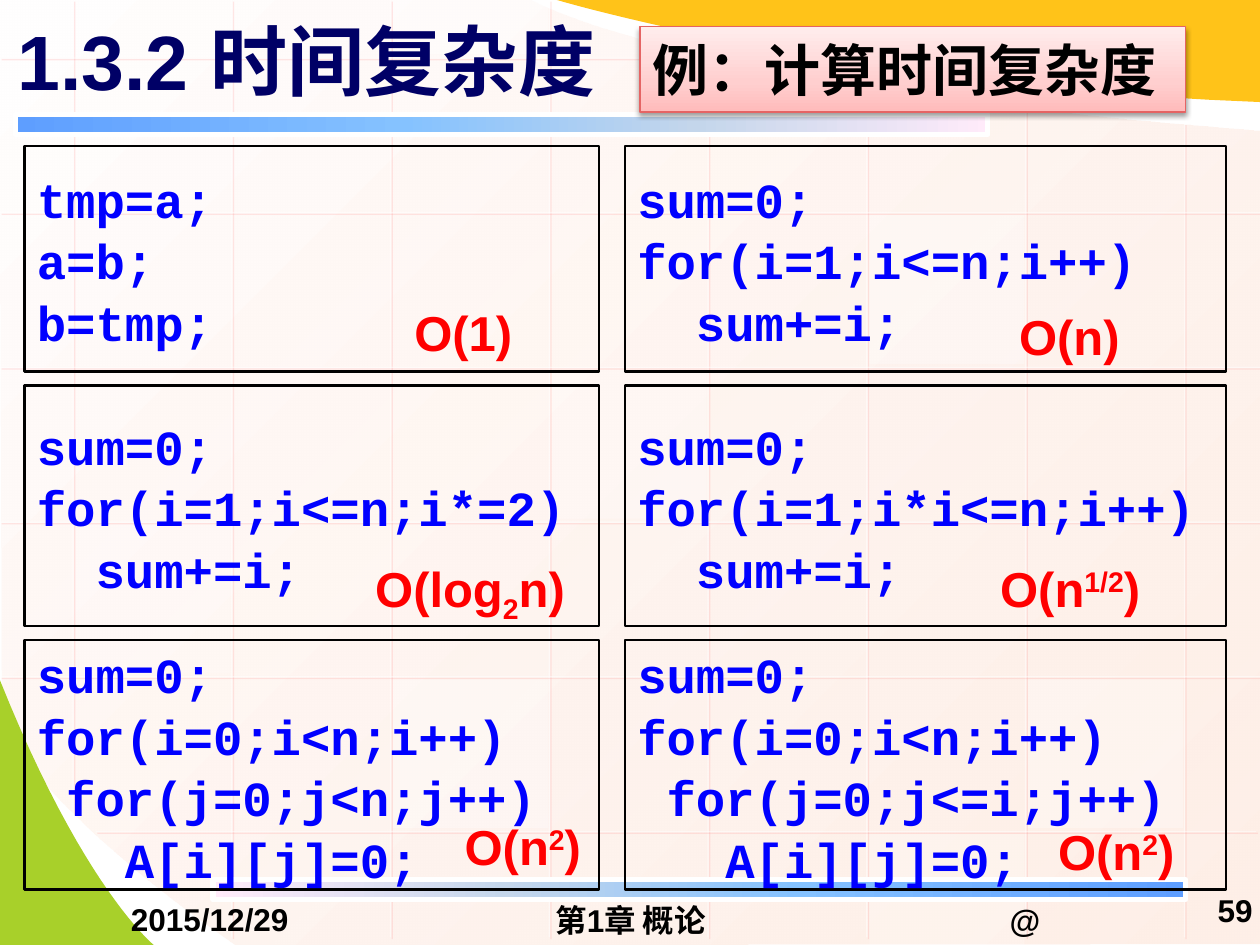
from pptx import Presentation
from pptx.dml.color import RGBColor
from pptx.enum.shapes import MSO_CONNECTOR, MSO_SHAPE
from pptx.enum.text import MSO_ANCHOR, MSO_AUTO_SIZE, PP_ALIGN
from pptx.oxml import parse_xml
from pptx.oxml.ns import nsdecls, qn
from pptx.util import Inches, Pt

RECT, STRAIGHT = MSO_SHAPE.RECTANGLE, MSO_CONNECTOR.STRAIGHT
MIDDLE, TOP = MSO_ANCHOR.MIDDLE, MSO_ANCHOR.TOP
LEFT, CENTER, RIGHT = PP_ALIGN.LEFT, PP_ALIGN.CENTER, PP_ALIGN.RIGHT
GROW = MSO_AUTO_SIZE.SHAPE_TO_FIT_TEXT

COLORS = {
    "white": "FFFFFF", "black": "000000", "navy": "000066", "code": "0000FF",
    "answer": "FF0000", "green": "A8D02A", "amber": "FFC319",
    "glow": "FF7575", "badge": "E56464",
}
PAPER = [(0, "FFFEFE", 100), (100, "FEE9DE", 70)]
BAR = [(0, "5E9EFF", 100), (40, "85C2FF", 100), (70, "C4D6EB", 100), (100, "FFEBFA", 100)]
BADGE = [(0, "FFBBBB", 100), (35, "FFCFCF", 100), (100, "FFEDED", 100)]

TITLE = {"size": Pt(44), "bold": True, "name": "Arial"}
EXAMPLE = {"size": Pt(32), "bold": True, "name": "Arial"}
ANSWER = {"size": Pt(28), "bold": True, "name": "Arial"}
CODE = {"size": Pt(28), "bold": True, "name": "Courier New"}
FOOTER = {"size": Pt(18), "bold": True, "name": "Arial"}
CENTERED = {"vertical_anchor": MIDDLE, "word_wrap": True}
UNWRAPPED = {"vertical_anchor": MIDDLE, "word_wrap": False}
FITTED = {"vertical_anchor": TOP, "word_wrap": False, "auto_size": GROW}
FLAT = {**CENTERED, "margin_top": 0, "margin_bottom": 0}


def apply(target, formats):
    """Set every attribute named in formats on the target."""
    for attribute, value in formats.items():
        setattr(target, attribute, value)


def curve(start, bend_a, bend_b, end, steps=24):
    """Return points along a cubic curve, leaving out its start."""
    shares = [step / steps for step in range(1, steps + 1)]
    return [tuple((1 - t) ** 3 * a + 3 * t * (1 - t) ** 2 * b + 3 * t * t * (1 - t) * c + t ** 3 * d
                  for a, b, c, d in zip(start, bend_a, bend_b, end)) for t in shares]


class Board:
    """Draws styled elements on a slide of 100 columns by 75 rows."""

    def __init__(self, slide, width):
        self.shapes = slide.shapes
        self.cell = width / 100

    def span(self, *cells):
        return [round(self.cell * count) for count in cells]

    def color(self, name):
        return RGBColor.from_string(COLORS[name])

    def paint(self, shape, fill=None, line=None, weight=1, opacity=100):
        shape.shadow.inherit = False
        if fill:
            shape.fill.solid()
            shape.fill.fore_color.rgb = self.color(fill)
            self.fade(shape, opacity)
        else:
            shape.fill.background()
        if line:
            shape.line.color.rgb = self.color(line)
            shape.line.width = Pt(weight)
        else:
            shape.line.fill.background()
        return shape

    def fade(self, shape, opacity):
        tint = shape._element.spPr.find(f".//{qn('a:srgbClr')}")
        tint.append(parse_xml(f'<a:alpha {nsdecls("a")} val="{opacity * 1000}"/>'))

    def blend(self, shape, stops, angle):
        shape.fill.gradient()
        marks = "".join(f'<a:gs pos="{place * 1000}"><a:srgbClr val="{tint}">'
                        f'<a:alpha val="{opacity * 1000}"/></a:srgbClr></a:gs>'
                        for place, tint, opacity in stops)
        properties = shape._element.spPr
        properties.replace(properties.find(qn("a:gradFill")), parse_xml(
            f'<a:gradFill {nsdecls("a")} rotWithShape="1"><a:gsLst>{marks}</a:gsLst>'
            f'<a:lin ang="{angle * 60000}" scaled="0"/></a:gradFill>'))

    def cast(self, shape, tint, opacity, blur, distance, angle):
        properties = shape._element.spPr
        effects = properties.find(qn("a:effectLst"))
        if effects is None:
            effects = parse_xml(f'<a:effectLst {nsdecls("a")}/>')
            properties.append(effects)
        effects.append(parse_xml(
            f'<a:outerShdw {nsdecls("a")} blurRad="{Pt(blur)}" dist="{Pt(distance)}" '
            f'dir="{angle * 60000}" rotWithShape="0"><a:srgbClr val="{COLORS[tint]}">'
            f'<a:alpha val="{opacity * 1000}"/></a:srgbClr></a:outerShdw>'))

    def outline(self, points, fill="white"):
        start, *rest = [self.span(*point) for point in points]
        builder = self.shapes.build_freeform(*start)
        builder.add_line_segments(rest)
        return self.paint(builder.convert_to_shape(), fill)

    def rule(self, *ends):
        rule = self.shapes.add_connector(STRAIGHT, *self.span(*ends))
        rule.line.color.rgb = self.color("white")
        rule.line.width = Pt(0.75)
        self.fade(rule, 50)
        self.cast(rule, "glow", 33, 0, 1.4, 45)

    def block(self, area, **look):
        return self.paint(self.shapes.add_shape(RECT, *self.span(*area)), **look)

    def bar(self, area, rotation=0):
        bar = self.block(area, line="white", weight=3)
        self.blend(bar, BAR, 0)
        bar.rotation = rotation

    def letter(self, shape, pieces, font, color, frame, align=LEFT, spacing=1.0):
        apply(shape.text_frame, frame)
        paragraph = shape.text_frame.paragraphs[0]
        apply(paragraph, {"alignment": align, "line_spacing": spacing})
        for text, baseline in pieces:
            for row, line in enumerate(text.split("\n")):
                if row:
                    paragraph.add_line_break()
                run = paragraph.add_run()
                run.text = line
                apply(run.font, font)
                run.font.color.rgb = self.color(color)
                if baseline:
                    run._r.get_or_add_rPr().set("baseline", str(baseline * 1000))

    def label(self, area, pieces, font, color, frame, align=LEFT):
        self.letter(self.shapes.add_textbox(*self.span(*area)), pieces, font, color, frame, align)

    def panel(self, area, code):
        panel = self.block(area, line="black", weight=1.5)
        self.letter(panel, [(code, 0)], CODE, "code", CENTERED, spacing=1.05)

    def badge(self, area, text):
        badge = self.block(area, line="badge", weight=0.75)
        self.blend(badge, BADGE, 270)
        self.cast(badge, "black", 38, 3.1, 1.6, 90)
        self.letter(badge, [(text, 0)], EXAMPLE, "black", UNWRAPPED)


def draw_backdrop(board):
    """Draw the paper, the grid and the coloured corners."""
    paper = board.outline(
        [(100, 10.4), (100, 74.9), (18.7, 75)]
        + curve((18.7, 75), (5.5, 66), (0.1, 58), (0.2, 58))
        + [(0, 0), (42.1, 0)]
        + curve((42.1, 0), (42.1, 0), (53.7, 6.9), (100, 10.4)))
    board.blend(paper, PAPER, 45)
    board.outline([(0, 54), (0, 75), (12.2, 75)]
                  + curve((12.2, 75), (12.2, 75), (6.6, 70.5), (0, 54)), "green")
    for column, top in enumerate([0, 0, 0, 0, 4.3, 6.8, 8.5, 9.8]):
        x = 5.8 + 12.6 * column
        board.rule(x, top, x, 74.4 if column else 64.6)
    for row, (left, right) in enumerate([(0, 56.8)] + [(0, 100)] * 4 + [(7.6, 99.7)]):
        y = 4.6 + 12.28 * row
        board.rule(right, y, left, y)
    tiles = [(3, 2, 25), (6, 4, 30), (0, 3, 20), (5, 5, 20), (2, -1, 40), (2, 4, 30), (5, 1, 30)]
    for column, row, opacity in tiles:
        top, bottom = max(0, 4.8 + 12.28 * row), min(75, 16.6 + 12.28 * row)
        board.block((6 + 12.6 * column, top, 12.3, bottom - top), fill="white", opacity=opacity)
    board.outline([(100, 8.1), (100, 0), (44.2, 0)]
                  + curve((44.2, 0), (44.2, 0), (67.4, 6.9), (100, 8.1)), "amber")


def main():
    """Build the slide on time complexity."""
    deck = Presentation()
    deck.slide_width, deck.slide_height = Inches(10), Inches(7.5)
    board = Board(deck.slides.add_slide(deck.slide_layouts[6]), deck.slide_width)
    draw_backdrop(board)
    board.bar((1.2, 9.1, 77.2, 1.6))
    board.bar((16.9, 69.8, 77.2, 1.6), rotation=180)
    board.label((0.4, -0.3, 90, 10.1), [("1.3.2 时间复杂度", 0)], TITLE, "navy", CENTERED)
    for area, text, frame, align in [
        ((69.7, 71.5, 23.3, 3), "@", FLAT, CENTER),
        ((5, 71.4, 23.3, 3), "2015/12/29", FLAT, CENTER),
        ((34.2, 71.5, 31.7, 3), "第1章 概论", FLAT, CENTER),
        ((93.8, 69.8, 6.6, 4.9), "59", CENTERED, RIGHT),
    ]:
        board.label(area, [(text, 0)], FOOTER, "black", frame, align)

    columns = [(1.95, 45.6), (49.6, 47.7)]
    rows = [(11.6, 17.9), (30.6, 19.1), (50.8, 19.8)]
    examples = [
        ("tmp=a;\na=b;\nb=tmp;", [("O(1)", 0)], (31.9, 23.5, 9.9)),
        ("sum=0;\nfor(i=1;i<=n;i++)\n  sum+=i;", [("O(n)", 0)], (79.9, 23.8, 10.1)),
        ("sum=0;\nfor(i=1;i<=n;i*=2)\n  sum+=i;",
         [("O(log", 0), ("2", -25), ("n)", 0)], (28.8, 43.8, 17.4)),
        ("sum=0;\nfor(i=1;i*i<=n;i++)\n  sum+=i;",
         [("O(n", 0), ("1/2", 30), (")", 0)], (78.4, 43.8, 13.7)),
        ("sum=0;\nfor(i=0;i<n;i++)\n for(j=0;j<n;j++)\n   A[i][j]=0;",
         [("O(n", 0), ("2", 30), (")", 0)], (35.9, 64.3, 11.6)),
        ("sum=0;\nfor(i=0;i<n;i++)\n for(j=0;j<=i;j++)\n   A[i][j]=0;",
         [("O(n", 0), ("2", 30), (")", 0)], (83, 64.7, 11.6)),
    ]
    for place, (code, order, (left, top, width)) in enumerate(examples):
        (x, breadth), (y, height) = columns[place % 2], rows[place // 2]
        board.panel((x, y, breadth, height), code)
        board.label((left, top, width, 5.7), order, ANSWER, "answer", FITTED)
    board.badge((50.8, 2.1, 43.3, 6.8), "例：计算时间复杂度")
    deck.save("out.pptx")


if __name__ == "__main__":
    main()
